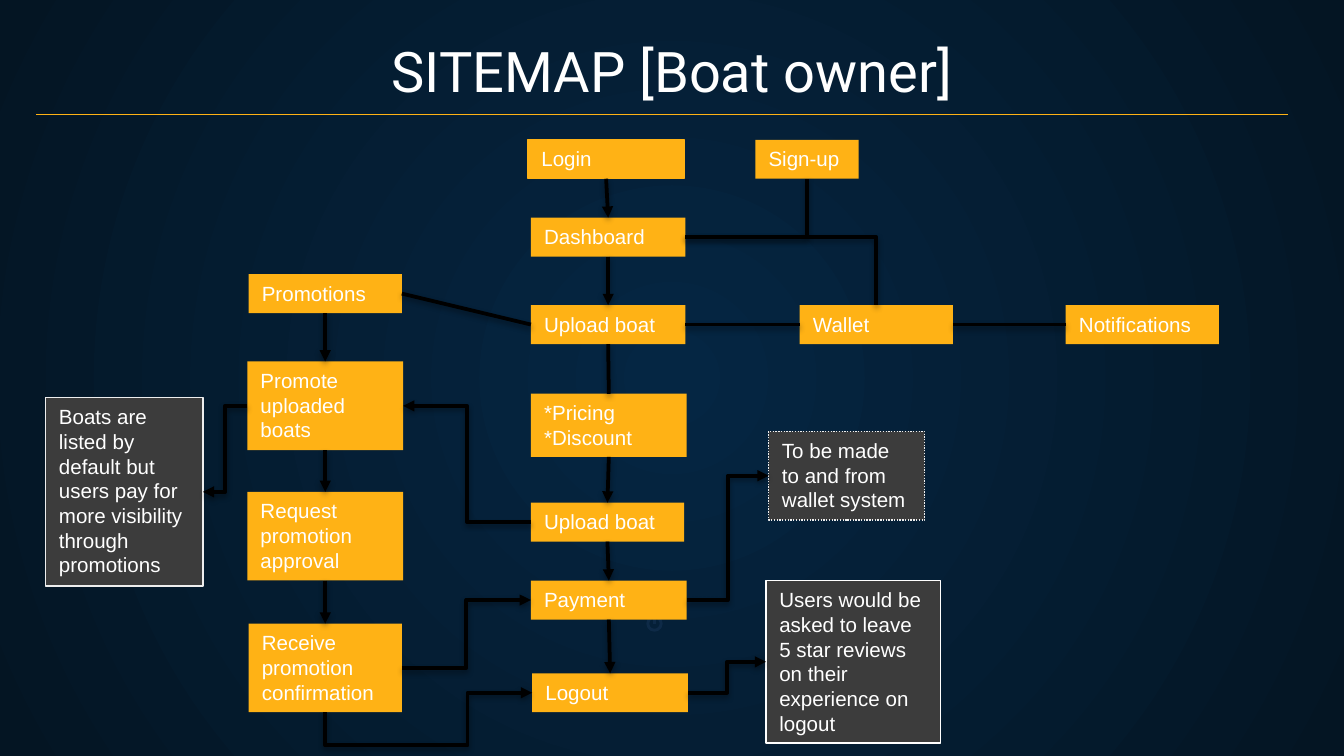
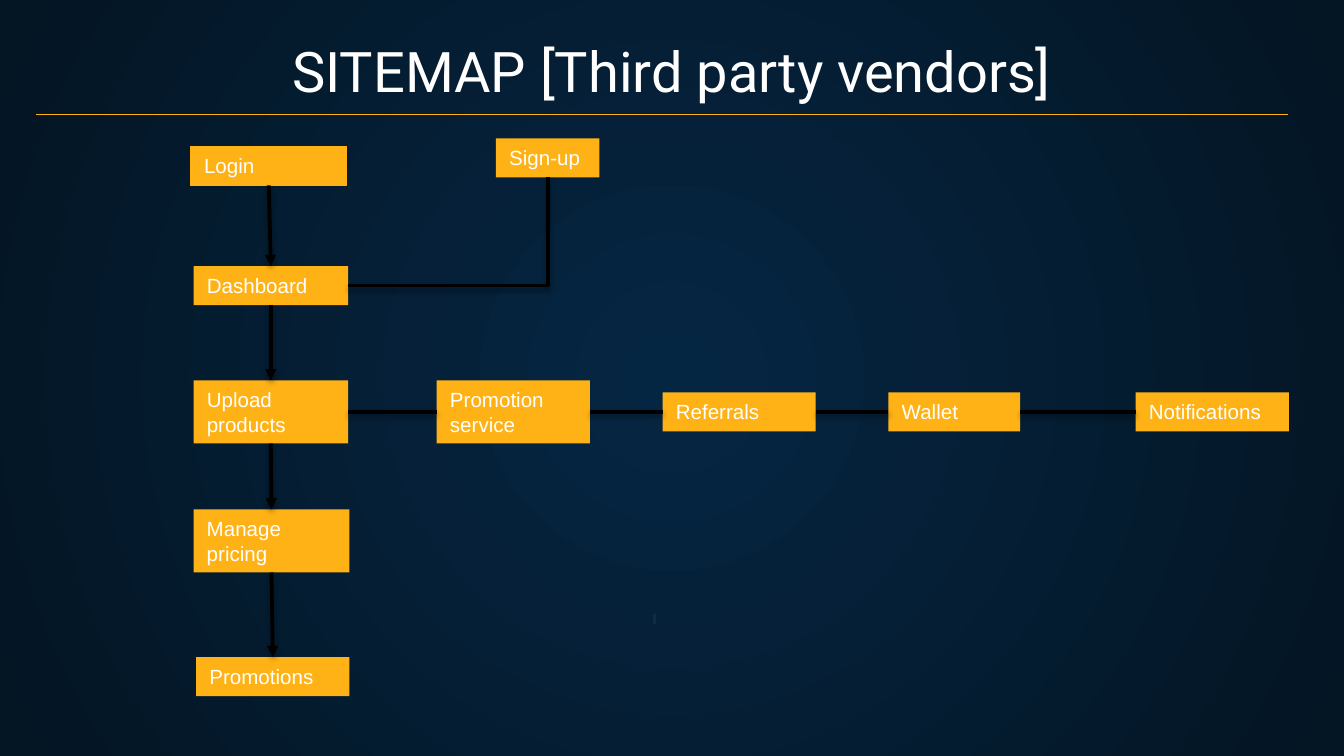
from pptx import Presentation
from pptx.dml.color import RGBColor
from pptx.enum.dml import MSO_LINE
from pptx.enum.shapes import MSO_CONNECTOR, MSO_SHAPE
from pptx.enum.text import MSO_ANCHOR, MSO_AUTO_SIZE, PP_ALIGN
from pptx.oxml.ns import qn
from pptx.oxml.xmlchemy import OxmlElement
from pptx.util import Pt

PX = 9144  # one px is a hundredth of an inch

CORE = RGBColor(0x05, 0x26, 0x43)
EDGE = RGBColor(0x04, 0x15, 0x23)
GOLD = RGBColor(0xFF, 0xB2, 0x15)
GREY = RGBColor(0x3C, 0x3C, 0x3C)
PALE = RGBColor(0xEE, 0xEE, 0xEE)
NAVY = RGBColor(0x0E, 0x2A, 0x47)
WHITE = RGBColor(0xFF, 0xFF, 0xFF)
BLACK = RGBColor(0x00, 0x00, 0x00)

RECT, OVAL = MSO_SHAPE.RECTANGLE, MSO_SHAPE.OVAL
LINE, BENT = MSO_CONNECTOR.STRAIGHT, MSO_CONNECTOR.ELBOW
LEFT_AL, MID_AL = PP_ALIGN.LEFT, PP_ALIGN.CENTER
UPPER, LOWER = MSO_ANCHOR.TOP, MSO_ANCHOR.BOTTOM
GROW, FIXED = MSO_AUTO_SIZE.SHAPE_TO_FIT_TEXT, MSO_AUTO_SIZE.NONE
DOTS = MSO_LINE.ROUND_DOT
TOP, LEFT, DOWN, RIGHT = range(4)  # connection sites of a rectangle

HEAD = (34, 21, 932, 66)
AREA = (30, 100, 930, 460)


def emu(*sizes):
    return [size * PX for size in sizes]


def add(parent, tag, **attrs):
    """Append an XML element with the given attributes."""
    child = OxmlElement(tag)
    for name, value in attrs.items():
        child.set(name, str(value))
    parent.append(child)
    return child


def write(shape, text, font="Arial", size=11, color=WHITE, align=LEFT_AL,
          anchor=UPPER, fit=GROW, pad=5):
    frame = shape.text_frame
    frame.text = text
    frame.word_wrap = True
    frame.auto_size = fit
    frame.vertical_anchor = anchor
    frame.margin_left = frame.margin_right = 10 * PX
    frame.margin_top = frame.margin_bottom = pad * PX
    for para in frame.paragraphs:
        para.alignment = align
        for run in para.runs:
            run.font.name = font
            run.font.size = Pt(size)
            run.font.color.rgb = color


def stroke(line, color, width):
    line.color.rgb = color
    line.width = Pt(width)


def rule(slide, ends, color, width):
    """Plain line without a shadow."""
    line = slide.shapes.add_connector(LINE, *emu(*ends))
    stroke(line.line, color, width)
    add(line.element.spPr, "a:effectLst")


def box(slide, area, text, x, y, wide, rows, fill=GOLD, edge=None, dash=None):
    """Text box whose height follows from its number of text rows."""
    high = int(29 + 18.5 * (rows - 1))
    shape = slide.shapes.add_shape(
        RECT, *emu(area[0] + x, area[1] + y, wide, high))
    shape.shadow.inherit = False
    shape.fill.solid()
    shape.fill.fore_color.rgb = fill
    if edge is None:
        shape.line.fill.background()
    else:
        stroke(shape.line, edge, 0.75)
    if dash:
        shape.line.dash_style = dash
    write(shape, text)
    return shape


def link(slide, start, out, end, into, kind=LINE, tip=None, form=None, bends=()):
    """Shadowed connector glued to two boxes; tip is headEnd or tailEnd."""
    wire = slide.shapes.add_connector(kind, 0, 0, 0, 0)
    wire.begin_connect(start, out)
    wire.end_connect(end, into)
    stroke(wire.line, BLACK, 2)
    props = wire.element.spPr
    if tip:
        add(props.find(qn("a:ln")), "a:" + tip, type="triangle")
    # Bend count and positions
    geom = props.find(qn("a:prstGeom"))
    if form:
        geom.set("prst", form)
    if bends:
        guides = geom.find(qn("a:avLst"))
        if guides is None:
            guides = add(geom, "a:avLst")
        for num, bend in enumerate(bends, 1):
            add(guides, "a:gd", name=f"adj{num}", fmla=f"val {bend}")
    # Soft shadow below
    glow = add(add(props, "a:effectLst"), "a:outerShdw", blurRad=Pt(3.1),
               dist=Pt(1.6), dir=5400000, rotWithShape=0)
    add(add(glow, "a:srgbClr", val=BLACK), "a:alpha", val=38000)


def chain(slide, boxes, out, into, tip=None):
    """Link each box to the next one."""
    for start, end in zip(boxes, boxes[1:]):
        link(slide, start, out, end, into, tip=tip)


def backdrop(prs):
    """Radial gradient on the master."""
    fill = prs.slide_master.background.fill
    fill.gradient()
    for stop, color in zip(fill.gradient_stops, (CORE, EDGE)):
        stop.color.rgb = color
    grad = prs.slide_master.element.find(".//" + qn("a:gradFill"))
    for old in grad.findall(qn("a:lin")):
        grad.remove(old)
    ray = add(grad, "a:path", path="circle")
    add(ray, "a:fillToRect", l=50000, t=50000, r=50000, b=50000)


def page(prs, text):
    """New slide with its title, the gold rule and the faint tick."""
    slide = prs.slides.add_slide(prs.slide_layouts[5])
    title = slide.shapes.title
    title.left, title.top, title.width, title.height = emu(*HEAD)
    write(title, text, font="Roboto", size=30, align=MID_AL, anchor=LOWER,
          fit=FIXED, pad=10)
    rule(slide, (487, 457, 487, 464), NAVY, 1.56)
    rule(slide, (27, 85, 958, 85), GOLD, 0.75)
    return slide


def owner(slide, area):
    """Sitemap of the boat owner."""
    def put(*args, **style):
        return box(slide, area, *args, **style)

    # Faint ring around the tick
    ring = slide.shapes.add_shape(
        OVAL, *emu(area[0] + 452, area[1] + 359, 10, 10))
    ring.shadow.inherit = False
    ring.fill.background()
    stroke(ring.line, NAVY, 1.52)

    # Main column
    login = put("Login", 363, 4, 116, 1, edge=GOLD)
    dash = put("Dashboard", 365, 62, 115, 1)
    boat = put("Upload boat", 365, 127, 115, 1)
    price = put("*Pricing\n*Discount", 365, 193, 116, 2)
    post = put("Upload boat", 365, 274, 114, 1)
    pay = put("Payment", 365, 332, 116, 1)
    leave = put("Logout", 366, 401, 116, 1)

    # Promotion column
    promo = put("Promotions", 155, 104, 114, 1)
    boost = put("Promote uploaded boats", 154, 169, 116, 3)
    ask = put("Request promotion approval", 154, 266, 116, 3)
    got = put("Receive promotion confirmation", 155, 364, 114, 3)

    # Right side
    sign = put("Sign-up", 532, 4, 77, 1)
    purse = put("Wallet", 565, 127, 114, 1)
    news = put("Notifications", 763, 127, 114, 1)

    # Remarks
    funds = put("To be made to and from wallet system", 542, 221, 116, 3,
                fill=GREY, edge=PALE, dash=DOTS)
    why = put("Boats are listed by default but users pay for more visibility "
              "through promotions", 4, 196, 117, 7, fill=GREY, edge=PALE)
    rate = put("Users would be asked to leave 5 star reviews on their "
               "experience on logout", 540, 332, 130, 6, fill=GREY, edge=WHITE)

    # Straight links
    for steps in ((login, dash, boat), (price, post, pay, leave),
                  (promo, boost, ask, got)):
        chain(slide, steps, DOWN, TOP, "tailEnd")
    chain(slide, (boat, price), DOWN, TOP)
    chain(slide, (boat, purse, news), RIGHT, LEFT)
    chain(slide, (boat, promo), LEFT, RIGHT)

    # Links with one corner
    for end, into in ((sign, DOWN), (purse, TOP)):
        link(slide, dash, RIGHT, end, into, BENT, form="bentConnector2")

    # Links with two corners
    for start, out, end, into in (
            (post, LEFT, boost, RIGHT), (got, RIGHT, pay, LEFT),
            (boost, LEFT, why, RIGHT), (leave, RIGHT, rate, LEFT),
            (pay, RIGHT, funds, LEFT)):
        link(slide, start, out, end, into, BENT, "tailEnd")

    # Link that runs below the promotion column
    link(slide, leave, LEFT, got, DOWN, BENT, "headEnd", "bentConnector4",
         (31200, 270000))


def vendor(slide, area):
    """Sitemap of the third party vendors."""
    def put(*args, **style):
        return box(slide, area, *args, **style)

    # Main column
    login = put("Login", 112, 9, 116, 1, edge=GOLD)
    dash = put("Dashboard", 114, 98, 115, 1)
    goods = put("Upload products", 114, 183, 115, 2)
    price = put("Manage pricing", 114, 279, 116, 2)
    promo = put("Promotions", 116, 389, 114, 1)

    # Service row
    serve = put("Promotion service", 295, 183, 114, 2)
    refer = put("Referrals", 463, 192, 114, 1)
    purse = put("Wallet", 631, 192, 98, 1)
    news = put("Notifications", 815, 192, 114, 1)
    sign = put("Sign-up", 339, 3, 77, 1)

    # Links
    chain(slide, (login, dash, goods, price, promo), DOWN, TOP, "tailEnd")
    chain(slide, (goods, serve, refer, purse, news), RIGHT, LEFT)
    link(slide, dash, RIGHT, sign, DOWN, BENT, form="bentConnector2")


def main():
    prs = Presentation()
    prs.slide_width = 1000 * PX
    prs.slide_height = prs.slide_width * 9 // 16
    backdrop(prs)
    owner(page(prs, "SITEMAP [Boat owner]"), AREA)
    vendor(page(prs, "SITEMAP [Third party vendors]"), AREA)
    prs.save("out.pptx")


if __name__ == "__main__":
    main()
